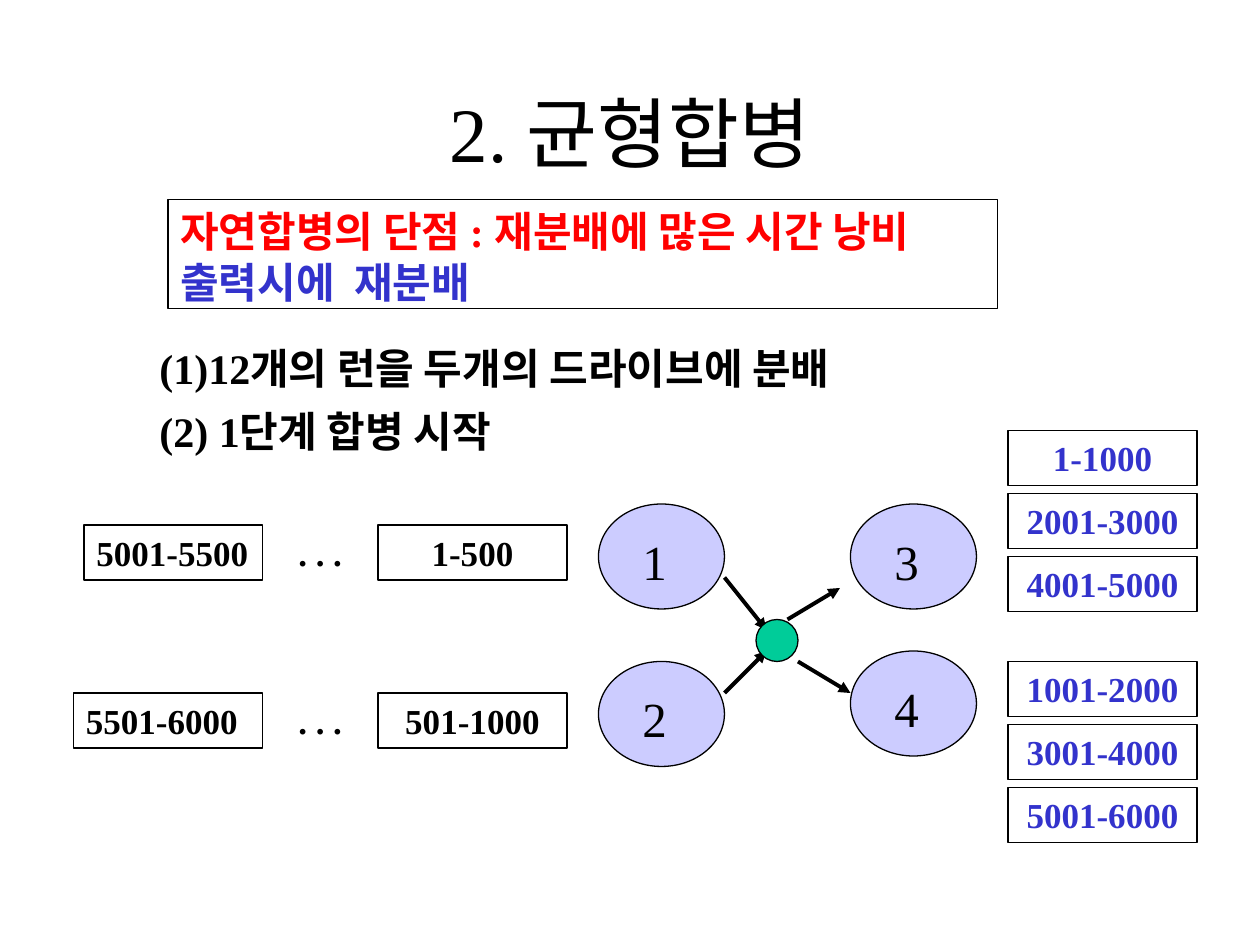
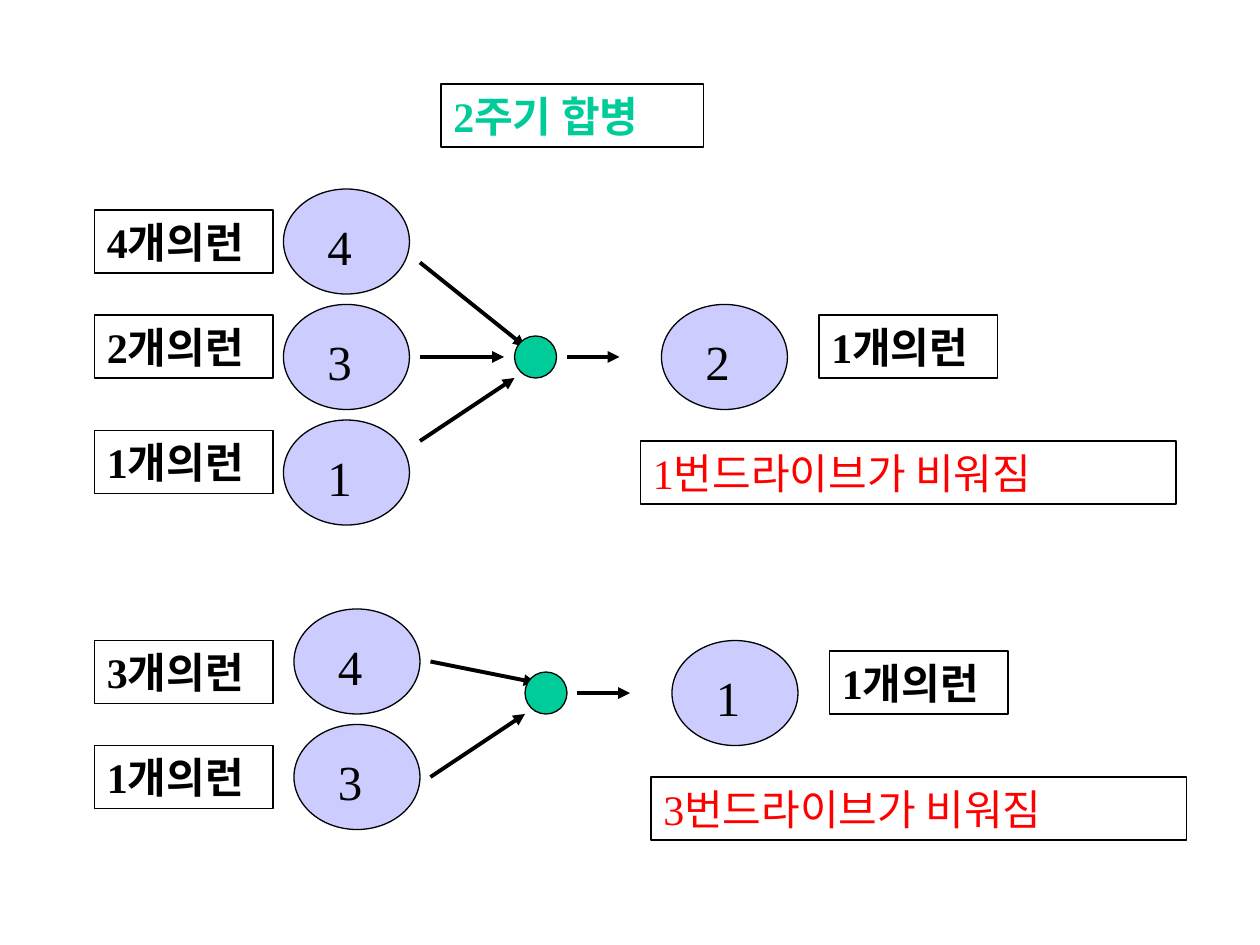
from lxml import etree
from pptx import Presentation
from pptx.dml.color import RGBColor
from pptx.enum.shapes import MSO_CONNECTOR as Connector, MSO_SHAPE as Shape
from pptx.enum.text import MSO_ANCHOR as Anchor, PP_ALIGN as Align
from pptx.oxml.ns import qn
from pptx.util import Pt

BLACK = RGBColor(0x00, 0x00, 0x00)
WHITE = RGBColor(0xFF, 0xFF, 0xFF)
RED = RGBColor(0xFF, 0x00, 0x00)
BLUE = RGBColor(0x33, 0x33, 0xCC)
GREEN = RGBColor(0x00, 0xCC, 0x99)
LAVENDER = RGBColor(0xCC, 0xCC, 0xFF)

FONT = "Times New Roman"
TITLE = {"size": Pt(44), "color": BLACK}
BODY = {"size": Pt(24), "color": BLACK, "bold": True}
RUN = {"size": Pt(20), "color": BLACK, "bold": True}
OUTPUT = {**RUN, "color": BLUE}
NUMBER = {"size": Pt(28), "color": BLACK}
WARNING = {"size": Pt(24), "color": RED}

DRIVE_WIDTH, DRIVE_HEIGHT = 72, 60
HUB_SIZE = 24
RUN_HEIGHT, RUN_WIDTH = 31.5, 108
OUTPUT_LEFT, OUTPUT_PITCH = 576, 36
LABEL_WIDTH, LABEL_HEIGHT = 102, 36
NOTE_WIDTH = 306

# Balanced merge: heading, weakness of the natural merge, steps
HEADING = "2. 균형합병"
WEAKNESS = [
    ("자연합병의 단점 : 재분배에 많은 시간 낭비", {**BODY, "color": RED}),
    ("출력시에  재분배", {**BODY, "color": BLUE}),
]
STEPS = ["(1)12개의 런을 두개의 드라이브에 분배", "(2) 1단계 합병 시작"]

# Input tapes: top, last run, left and width of its box, first run
INPUTS = [
    (300, "5001-5500", 48, 102, "1-500"),
    (396, "5501-6000", 42, 108, "501-1000"),
]
OUTPUTS = [
    (246, ["1-1000", "2001-3000", "4001-5000"]),
    (378, ["1001-2000", "3001-4000", "5001-6000"]),
]

# Merges: drives (number, left, top), arrows (from x, y, to x, y), hub (left, top)
FIRST_PASS = {
    "drives": [("1", 342, 288), ("2", 342, 378), ("3", 486, 288), ("4", 486, 372)],
    "arrows": [(414, 330, 438, 360), (414, 396, 438, 372),
               (450, 354, 480, 336), (456, 378, 486, 396)],
    "hub": (432, 354),
}

CYCLE_HEADING = "2주기 합병"
CYCLES = [
    {
        "drives": [("4", 162, 108), ("3", 162, 174), ("1", 162, 240), ("2", 378, 174)],
        "arrows": [(240, 150, 300, 198), (240, 204, 288, 204),
                   (240, 252, 294, 216), (324, 204, 354, 204)],
        "hub": (294, 192),
        "labels": [("4개의런", 54, 120), ("2개의런", 54, 180),
                   ("1개의런", 54, 246), ("1개의런", 468, 180)],
        "note": ("1번드라이브가 비워짐", 366, 252),
    },
    {
        "drives": [("4", 168, 348), ("3", 168, 414), ("1", 384, 366)],
        "arrows": [(246, 378, 306, 390), (246, 444, 300, 408), (330, 396, 360, 396)],
        "hub": (300, 384),
        "labels": [("3개의런", 54, 366), ("1개의런", 54, 426), ("1개의런", 474, 372)],
        "note": ("3번드라이브가 비워짐", 372, 444),
    },
]


def points(*values):
    return [Pt(value) for value in values]


def write(box, lines, align=Align.LEFT, anchor=Anchor.TOP):
    """Fill a box with (text, format) lines."""
    frame = box.text_frame
    frame.word_wrap = True
    frame.vertical_anchor = anchor
    for index, (text, style) in enumerate(lines):
        para = frame.add_paragraph() if index else frame.paragraphs[0]
        para.alignment = align
        if index:
            para.space_before = Pt(15)
            para.line_spacing = 0.4
        span = para.add_run()
        span.text = text
        span.font.name = FONT
        for name, value in style.items():
            if name == "color":
                span.font.color.rgb = value
            else:
                setattr(span.font, name, value)


def add_text(page, at, text, style, **layout):
    write(page.shapes.add_textbox(*points(*at)), [(text, style)], **layout)


def add_outlined(page, kind, at, fill=None, line=BLACK):
    shape = page.shapes.add_shape(kind, *points(*at))
    shape.shadow.inherit = False
    if fill is None:
        shape.fill.background()
    else:
        shape.fill.solid()
        shape.fill.fore_color.rgb = fill
    shape.line.color.rgb = line
    shape.line.width = Pt(0.75)
    return shape


def add_box(page, at, text, style, align=Align.LEFT, line=BLACK):
    box = add_outlined(page, Shape.RECTANGLE, at, line=line)
    write(box, [(text, style)], align)


def add_arrow(page, ends):
    arrow = page.shapes.add_connector(Connector.STRAIGHT, *points(*ends))
    arrow.line.color.rgb = BLACK
    arrow.line.width = Pt(2.25)
    etree.SubElement(arrow.line._get_or_add_ln(), qn("a:tailEnd"), type="triangle")
    etree.SubElement(arrow._element.spPr, qn("a:effectLst"))


def add_merge(page, merge):
    """Draw the drives, the arrows between them and the hub where they meet."""
    for number, left, top in merge["drives"]:
        add_outlined(page, Shape.OVAL, (left, top, DRIVE_WIDTH, DRIVE_HEIGHT), LAVENDER)
        add_text(page, (left + 18, top + 12, 36, 41), number, NUMBER)
    for ends in merge["arrows"]:
        add_arrow(page, ends)
    add_outlined(page, Shape.OVAL, (*merge["hub"], HUB_SIZE, HUB_SIZE), GREEN)


def build_balanced_merge(page):
    add_text(page, (54, 30, 612, 90), HEADING, TITLE,
             align=Align.CENTER, anchor=Anchor.MIDDLE)
    write(add_outlined(page, Shape.RECTANGLE, (96, 114, 474, 62.5)), WEAKNESS)
    for index, step in enumerate(STEPS):
        add_text(page, (84, 192 + 36 * index, 480, 36), step, BODY)
    for top, last, left, width, first in INPUTS:
        add_box(page, (left, top, width, RUN_HEIGHT), last, RUN)
        add_box(page, (162, top, 42, RUN_HEIGHT), ". . .", RUN, Align.CENTER, WHITE)
        add_box(page, (216, top, RUN_WIDTH, RUN_HEIGHT), first, RUN, Align.CENTER)
    for top, runs in OUTPUTS:
        for index, run in enumerate(runs):
            at = (OUTPUT_LEFT, top + OUTPUT_PITCH * index, RUN_WIDTH, RUN_HEIGHT)
            add_box(page, at, run, OUTPUT, Align.CENTER)
    add_merge(page, FIRST_PASS)


def build_second_cycle(page):
    add_box(page, (252, 48, 150, LABEL_HEIGHT), CYCLE_HEADING, {**BODY, "color": GREEN})
    for cycle in CYCLES:
        add_merge(page, cycle)
        for text, left, top in cycle["labels"]:
            add_box(page, (left, top, LABEL_WIDTH, LABEL_HEIGHT), text, BODY)
        text, left, top = cycle["note"]
        add_box(page, (left, top, NOTE_WIDTH, LABEL_HEIGHT), text, WARNING)


def main():
    deck = Presentation()
    deck.slide_width, deck.slide_height = points(720, 540)
    for build in (build_balanced_merge, build_second_cycle):
        build(deck.slides.add_slide(deck.slide_layouts[6]))
    deck.save("out.pptx")


if __name__ == "__main__":
    main()
